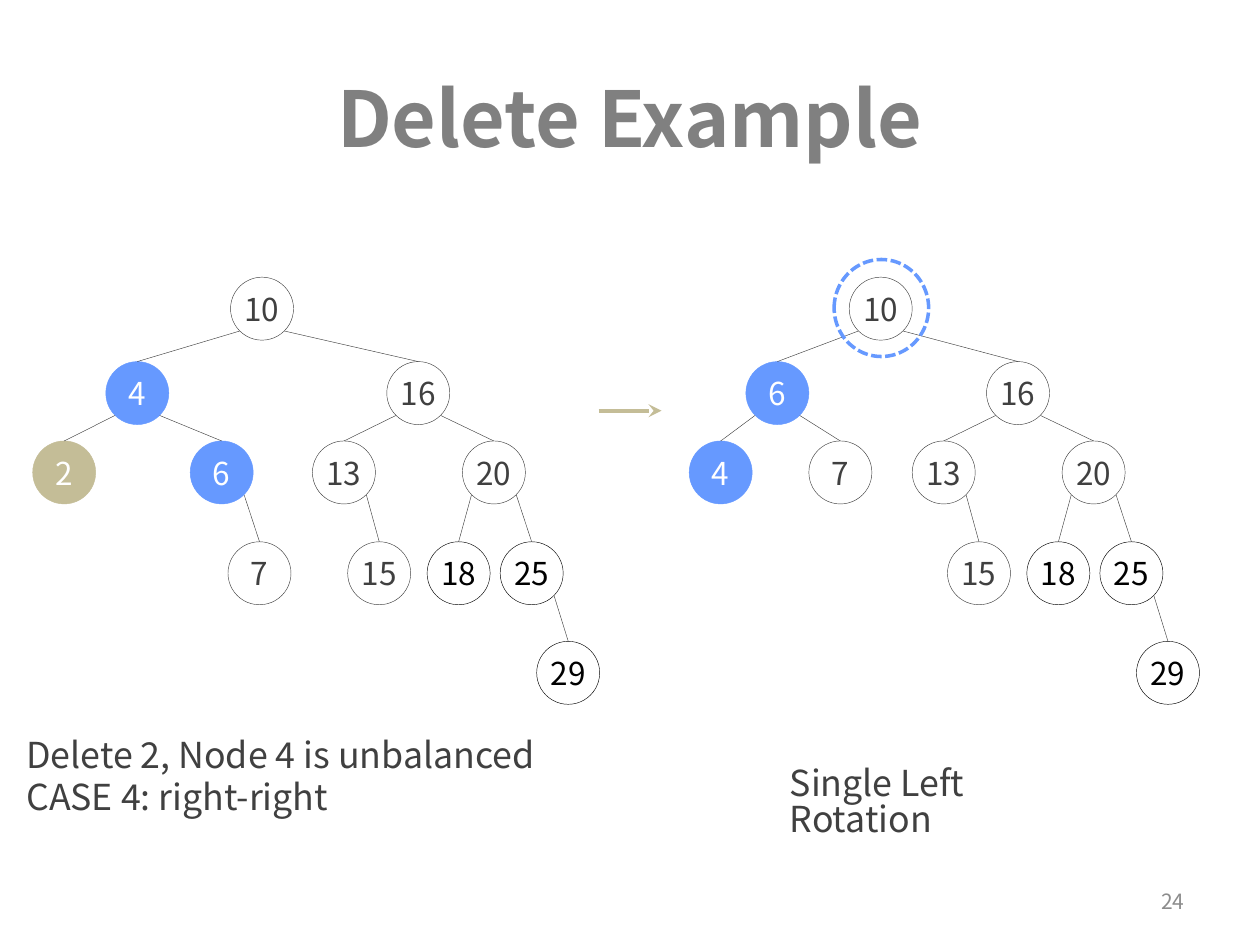
import pptx
import pptx.util
import pptx.dml.color
import pptx.enum.dml
import pptx.enum.shapes
import pptx.enum.text
from pptx.oxml.ns import qn
from lxml import etree

Inches, Pt = pptx.util.Inches, pptx.util.Pt
RGB = pptx.dml.color.RGBColor.from_string
Align, Anchor = pptx.enum.text.PP_ALIGN, pptx.enum.text.MSO_ANCHOR
Shape = pptx.enum.shapes.MSO_SHAPE

FONT = "Noto Sans CJK SC"
COLORS = {"title": "808080", "text": "404040", "black": "000000", "white": "FFFFFF",
          "blue": "6699FF", "tan": "C4BD97", "number": "8C8C8C"}
# style: (fill, line, label)
STYLES = {"plain": (None, "text", "text"), "dark": (None, "black", "black"),
          "blue": ("blue", "blue", "white"), "tan": ("tan", "tan", "white")}

NODE = 0.5                            # circle diameter
CORNER = NODE / 2 * 0.71              # offset of a point on the circle at 45 degrees
ROWS = [2.2, 2.87, 3.5, 4.3, 5.09]    # circle tops by tree level
SHIFT = 4.76                          # from the left tree's 16-branch to the right tree's

# node: (label, centre x, level, parent, style)
BRANCH = [("16", 3.32, 1, "10", "plain"), ("13", 2.73, 2, "16", "plain"),
          ("20", 3.92, 2, "16", "plain"), ("15", 3.01, 3, "13", "plain"),
          ("18", 3.64, 3, "20", "dark"), ("25", 4.22, 3, "20", "dark"),
          ("29", 4.51, 4, "25", "dark")]
BEFORE = [("10", 2.08, 0, None, "plain"), ("4", 1.09, 1, "10", "blue"),
          ("2", 0.51, 2, "4", "tan"), ("6", 1.76, 2, "4", "blue"),
          ("7", 2.06, 3, "6", "plain")] + BRANCH
AFTER = [("10", 6.99, 0, None, "plain"), ("6", 6.17, 1, "10", "blue"),
         ("4", 5.72, 2, "6", "blue"), ("7", 6.67, 2, "6", "plain")]
AFTER += [(label, x + SHIFT, *rest) for label, x, *rest in BRANCH]


def style_paragraph(para, text, size, color, align=Align.LEFT):
    para.text = text
    para.alignment = align
    para.font.name, para.font.size = FONT, Pt(size)
    para.font.color.rgb = RGB(COLORS[color])


def draw_line(start, end, color, width):
    line = slide.shapes.add_connector(pptx.enum.shapes.MSO_CONNECTOR.STRAIGHT,
                                      *map(Inches, start + end))
    line.line.color.rgb = RGB(COLORS[color])
    line.line.width = Pt(width)
    etree.SubElement(line._element.spPr, qn("a:effectLst"))
    return line


deck = pptx.Presentation()
deck.slide_width, deck.slide_height = Inches(10), Inches(7.5)
slide = deck.slides.add_slide(deck.slide_layouts[5])

title = slide.shapes.title
title.left, title.top, title.width, title.height = map(Inches, (0.5, 0.3, 9, 1.25))
title.text_frame.vertical_anchor = Anchor.MIDDLE
style_paragraph(title.text_frame.paragraphs[0], "Delete Example", 44, "title", Align.CENTER)
title.text_frame.paragraphs[0].font.bold = True

for tree in (BEFORE, AFTER):
    centres = {}
    for label, x, level, parent, style in tree:
        top = ROWS[level]
        centres[label] = (x, top + NODE / 2)
        fill, outline, ink = STYLES[style]
        node = slide.shapes.add_shape(Shape.OVAL, Inches(x - NODE / 2), Inches(top),
                                      Inches(NODE), Inches(NODE))
        node.shadow.inherit = False
        if fill:
            node.fill.solid()
            node.fill.fore_color.rgb = RGB(COLORS[fill])
        else:
            node.fill.background()
        node.line.color.rgb = RGB(COLORS[outline])
        node.line.width = Pt(0.25)
        frame = node.text_frame
        frame.word_wrap = False
        frame.vertical_anchor = Anchor.MIDDLE
        frame.margin_left = frame.margin_right = frame.margin_top = frame.margin_bottom = 0
        style_paragraph(frame.paragraphs[0], label, 18, ink, Align.CENTER)
        if parent:
            parent_x, parent_y = centres[parent]
            side = CORNER if x > parent_x else -CORNER
            edge = draw_line((x, top), (parent_x + side, parent_y + CORNER), "text", 0.25)
            edge.begin_connect(node, 0)

ring = slide.shapes.add_shape(Shape.OVAL, *map(Inches, (6.62, 2.06, 0.75, 0.77)))
ring.shadow.inherit = False
ring.fill.background()
ring.line.color.rgb = RGB(COLORS["blue"])
ring.line.width = Pt(2)
ring.line.dash_style = pptx.enum.dml.MSO_LINE.SQUARE_DOT

arrow = draw_line((4.75, 3.26), (5.25, 3.26), "tan", 2.5)
etree.SubElement(arrow.line._get_or_add_ln(), qn("a:tailEnd"), type="stealth")

captions = [((0.11, 5.82, 4.39, 0.89), ["Delete 2, Node 4 is unbalanced", "CASE 4: right-right"]),
            ((6.17, 6.05, 2.74, 0.68), ["Single Left Rotation"])]
for place, lines in captions:
    box = slide.shapes.add_textbox(*map(Inches, place))
    frame = box.text_frame
    frame.word_wrap = True
    frame.margin_right = Inches(0.15)
    for index, text in enumerate(lines):
        para = frame.add_paragraph() if index else frame.paragraphs[0]
        style_paragraph(para, text, 20.4, "text")
        para.line_spacing = 0.83
        para.space_before = Pt(4)

number = slide.shapes.add_textbox(*map(Inches, (7.17, 6.95, 2.33, 0.4)))
number.text_frame.word_wrap = True
number.text_frame.vertical_anchor = Anchor.MIDDLE
style_paragraph(number.text_frame.paragraphs[0], "24", 12, "number", Align.RIGHT)

deck.save("out.pptx")
